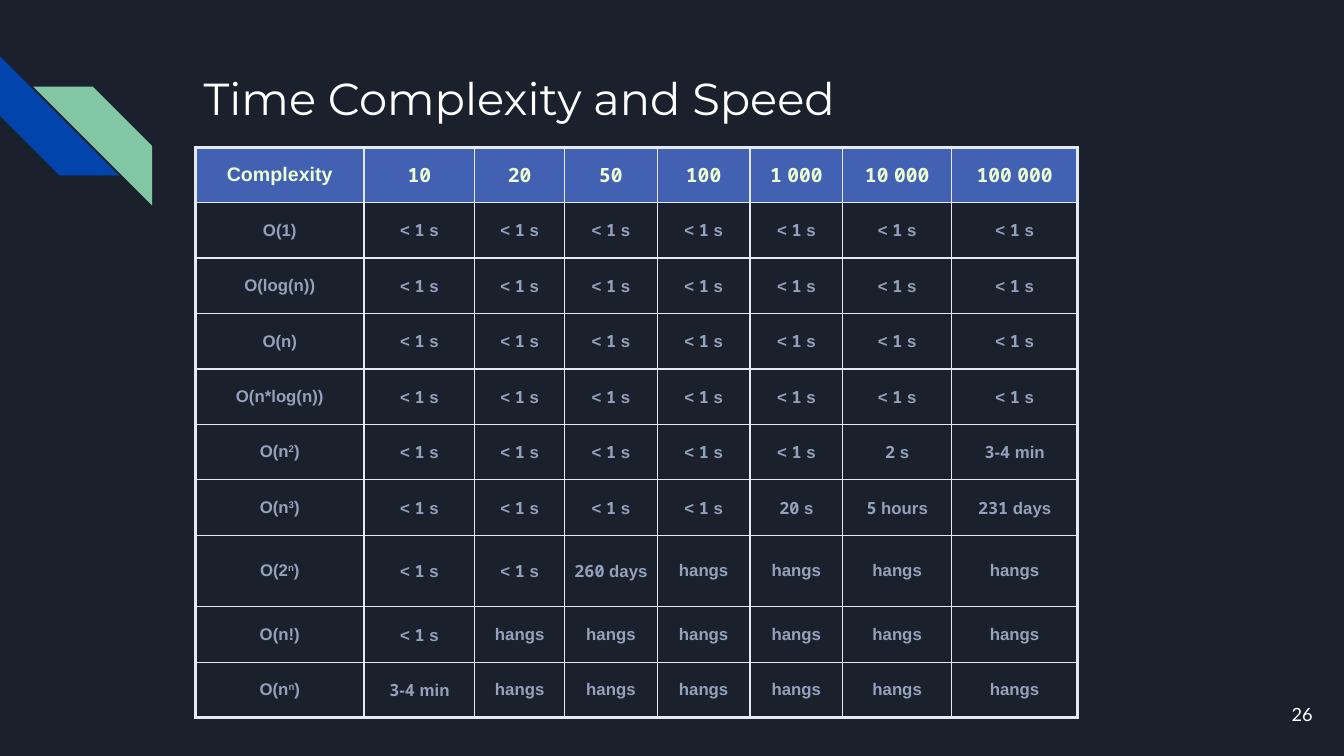
from itertools import groupby

from lxml.etree import SubElement
from pptx import Presentation
from pptx.dml.color import RGBColor
from pptx.enum.shapes import MSO_SHAPE as SHAPE
from pptx.enum.text import MSO_ANCHOR as ANCHOR, MSO_AUTO_SIZE as AUTO, PP_ALIGN as ALIGN
from pptx.oxml.ns import qn
from pptx.util import Inches, Pt

WHITE, GRID = "FFFFFF", "E4E9F5"
COL_WIDTHS = [1.67, 1.1, 0.89, 0.92, 0.92, 0.92, 1.08, 1.25]
ROW_HEIGHTS = [0.55] * 7 + [0.71] + [0.55] * 2
FAST, HANGS = ["< 1 s"], ["hangs"]
ROWS = [
    ["Complexity", "10", "20", "50", "100", "1 000", "10 000", "100 000"],
    ["O(1)"] + FAST * 7,
    ["O(log(n))"] + FAST * 7,
    ["O(n)"] + FAST * 7,
    ["O(n*log(n))"] + FAST * 7,
    ["O(n^2^)"] + FAST * 5 + ["2 s", "3-4 min"],
    ["O(n^3^)"] + FAST * 4 + ["20 s", "5 hours", "231 days"],
    ["O(2^n^)"] + FAST * 2 + ["260 days"] + HANGS * 4,
    ["O(n!)"] + FAST + HANGS * 6,
    ["O(n^n^)", "3-4 min"] + HANGS * 6,
]


def rgb(value):
    return RGBColor.from_string(value)


def add_run(p, text, size, font, color, bold=False):
    r = p.add_run()
    r.text = text
    r.font.size, r.font.name, r.font.bold = Pt(size), font, bold
    r.font.color.rgb = rgb(color)
    return r


def set_frame(tf, anchor):
    tf.word_wrap = True
    tf.auto_size = AUTO.NONE
    tf.vertical_anchor = anchor
    tf.margin_left = tf.margin_right = tf.margin_top = tf.margin_bottom = Inches(0.13)


def place(sp, left, top, width, height):
    sp.left, sp.top, sp.width, sp.height = map(Inches, (left, top, width, height))


def add_title(s, text):
    sp = s.shapes.title
    place(sp, 1.89, 0.57, 10.26, 1.33)
    set_frame(sp.text_frame, ANCHOR.TOP)
    p = sp.text_frame.paragraphs[0]
    p.alignment = ALIGN.LEFT
    add_run(p, text, 32, "Montserrat", WHITE)


def add_page_number(s, text):
    sp = s.shapes.add_textbox(*map(Inches, (12.35, 6.8, 0.8, 0.57)))
    set_frame(sp.text_frame, ANCHOR.MIDDLE)
    p = sp.text_frame.paragraphs[0]
    p.alignment = ALIGN.RIGHT
    add_run(p, text, 13, "Lato", WHITE)


def add_stripe(s, left, top, color):
    sp = s.shapes.add_shape(SHAPE.DIAGONAL_STRIPE, *map(Inches, (left, top, 1.18, 1.18)))
    sp.adjustments[0] = 0.5
    sp.shadow.inherit = False
    sp.fill.solid()
    sp.fill.fore_color.rgb = rgb(color)
    sp.line.fill.background()
    return sp


def set_borders(cell, widths):
    tc_pr = cell._tc.get_or_add_tcPr()
    for side, width in widths.items():
        ln = SubElement(tc_pr, qn(f"a:ln{side}"), w=str(Pt(width)))
        SubElement(SubElement(ln, qn("a:solidFill")), qn("a:srgbClr"), val=GRID)


def fill_header(cell):
    cell.fill.solid()
    cell.fill.fore_color.rgb = rgb("4261B2")
    SubElement(cell._tc.tcPr.find(".//" + qn("a:srgbClr")), qn("a:alpha"), val="50000")


def write_formula(p, text, size, color):
    for i, part in enumerate(text.split("^")):
        r = add_run(p, part, size, "Arial", color, True)
        if i % 2:
            r.font._element.set("baseline", "30000")


def write_value(p, text, size, color):
    for is_number, chars in groupby(text, str.isdigit):
        font = "Noto Sans Mono" if is_number else "Arial"
        add_run(p, "".join(chars), size, font, color, True)


def format_cell(cell, text, row, col):
    header = row == 0
    set_borders(cell, {
        "L": 2.25 if col == 0 else 1,
        "R": 2.25 if col == len(COL_WIDTHS) - 1 else 1,
        "T": 2.25 if header else 1,
        "B": 2.25 if row == len(ROWS) - 1 else 1,
    })
    cell.vertical_anchor = ANCHOR.MIDDLE
    cell.margin_left = cell.margin_right = Inches(0.07)
    cell.margin_top = cell.margin_bottom = 0
    p = cell.text_frame.paragraphs[0]
    p.alignment = ALIGN.CENTER
    if header:
        fill_header(cell)
        p.line_spacing = 0.95
        before = SubElement(p._p.get_or_add_pPr(), qn("a:spcBef"))
        SubElement(before, qn("a:spcPct"), val="40000")
    else:
        cell.fill.background()
        p.space_before = p.space_after = Pt(3)
    write = write_value if col else write_formula
    write(p, text, 14 if header else 12, "EBFFD2" if header else "92A1BC")


def add_speed_table(s):
    frame = s.shapes.add_table(len(ROWS), len(COL_WIDTHS), Inches(1.94), Inches(1.46),
                               Inches(sum(COL_WIDTHS)), Inches(sum(ROW_HEIGHTS)))
    table = frame.table
    table.first_row = table.horz_banding = False
    for column, width in zip(table.columns, COL_WIDTHS):
        column.width = Inches(width)
    for row, height in zip(table.rows, ROW_HEIGHTS):
        row.height = Inches(height)
    for i, texts in enumerate(ROWS):
        for j, text in enumerate(texts):
            format_cell(table.cell(i, j), text, i, j)


def main():
    prs = Presentation()
    prs.slide_width, prs.slide_height = Inches(13.33), Inches(7.5)
    s = prs.slides.add_slide(prs.slide_layouts[5])
    s.background.fill.solid()
    s.background.fill.fore_color.rgb = rgb("1B212C")
    add_stripe(s, 0, 0.56, "0145AC").rotation = 270
    green = add_stripe(s, 0.33, 0.86, "82C7A5")
    green._element.spPr.xfrm.set("flipH", "1")
    add_title(s, "Time Complexity and Speed")
    add_page_number(s, "26")
    add_speed_table(s)
    prs.save("out.pptx")


if __name__ == "__main__":
    main()
